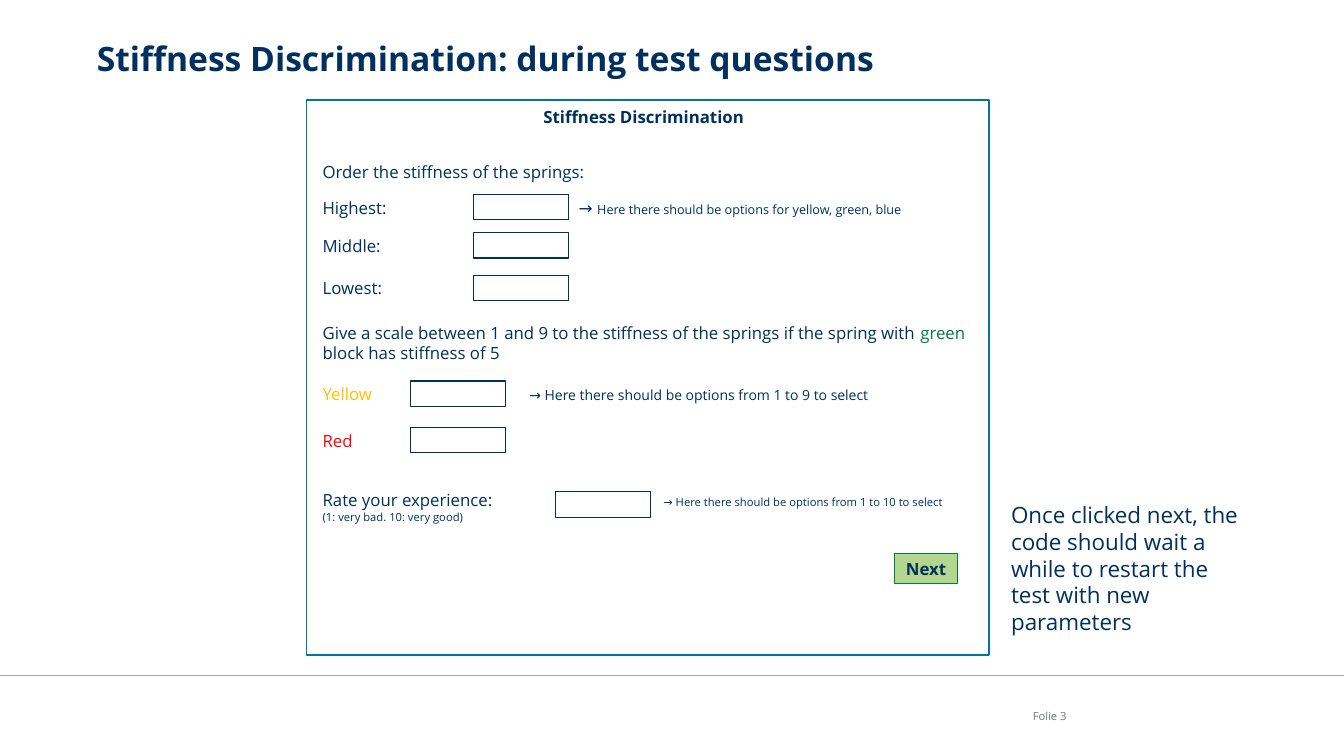
from pptx import Presentation
from pptx.dml.color import RGBColor
from pptx.enum.shapes import MSO_CONNECTOR as CONN, MSO_SHAPE as SHAPE
from pptx.enum.text import MSO_ANCHOR as ANCHOR, PP_ALIGN as ALIGN
from pptx.oxml.ns import qn
from pptx.util import Inches, Pt
from lxml.etree import SubElement

COLORS = {"navy": "00305E", "frame": "0075A6", "green": "007D40", "lime": "6AB023",
          "yellow": "FFC000", "red": "FF0000", "rule": "A6A6A6", "gray": "727879"}
FONT = "Open Sans"
LINE_H = 0.3
BOX_W, BOX_H = 0.94, 0.25


def rgb(name):
    return RGBColor.from_string(COLORS[name])


def write(sp, paragraphs, align=ALIGN.LEFT, anchor=ANCHOR.MIDDLE, inset=0, tab=None):
    """Each paragraph is a list of (text, size, colour, bold) runs."""
    tf = sp.text_frame
    frame = {"word_wrap": True, "vertical_anchor": anchor}
    for side in ("left", "right", "top", "bottom"):
        frame["margin_" + side] = Inches(inset / 2 if side in ("top", "bottom") else inset)
    for name, value in frame.items():
        setattr(tf, name, value)
    for i, runs in enumerate(paragraphs):
        p = tf.paragraphs[0] if i == 0 else tf.add_paragraph()
        p.alignment = align
        if tab is not None:
            tabs = SubElement(p._p.get_or_add_pPr(), qn("a:tabLst"))
            SubElement(tabs, qn("a:tab"), pos=str(Inches(tab)), algn="l")
        for text, size, color, bold in runs:
            r = p.add_run()
            r.text = text
            for name, value in {"name": FONT, "size": Pt(size), "bold": bold}.items():
                setattr(r.font, name, value)
            r.font.color.rgb = rgb(color)


def add_text(shapes, box, paragraphs, **layout):
    write(shapes.add_textbox(*map(Inches, box)), paragraphs, **layout)


def add_box(shapes, box, line, width=0.75):
    sp = shapes.add_shape(SHAPE.RECTANGLE, *map(Inches, box))
    sp.shadow.inherit = False
    sp.fill.background()
    sp.line.color.rgb = rgb(line)
    sp.line.width = Pt(width)
    return sp


def add_title(s, box):
    sp = s.shapes.title
    sp.left, sp.top, sp.width, sp.height = map(Inches, box)
    write(sp, [[("Stiffness Discrimination: during test questions", 24, "navy", True)]],
          anchor=ANCHOR.TOP)


def add_answer_row(s, box, paragraphs, box_x, box_dy=0.02, hint_x=None):
    """Label, answer box and an optional hint set by a tab stop."""
    x, y, w, h = box
    shapes = s.shapes.add_group_shape().shapes
    add_text(shapes, box, paragraphs, tab=hint_x)
    add_box(shapes, (x + box_x, y + box_dy, BOX_W, BOX_H), "navy")


def add_form(s, box):
    x, y, w, h = box
    left, width = x + 0.16, 6.46
    add_box(s.shapes, box, "frame", 1)
    add_text(s.shapes, (x + 1.77, y + 0.02, 3.15, LINE_H),
             [[("Stiffness Discrimination", 12, "navy", True)]], align=ALIGN.CENTER)

    # Questions
    questions = [
        (0.56, [("Order the stiffness of the springs:", 12, "navy", False)]),
        (2.26, [("Give a scale between 1 and 9 to the stiffness of the springs "
                 "if the spring with ", 12, "navy", False),
                ("green", 12, "green", False),
                (" block has stiffness of 5", 12, "navy", False)]),
    ]
    for dy, runs in questions:
        add_text(s.shapes, (left, y + dy, width, LINE_H), [runs])

    # Answer rows: offset, label, colour, answer box offset, hint offset, hint runs
    rows = [
        (0.92, "Highest:", "navy", 1.5, 2.54,
         [("→ ", 12, "navy", False),
          ("Here there should be options for yellow, green, blue", 9, "navy", False)]),
        (1.30, "Middle:", "navy", 1.5, None, []),
        (1.72, "Lowest:", "navy", 1.5, None, []),
        (2.77, "Yellow", "yellow", 0.87, 2.05,
         [("→ Here there should be options from 1 to 9 to select", 10, "navy", False)]),
        (3.23, "Red", "red", 0.87, None, []),
    ]
    for dy, label, color, box_x, hint_x, hint in rows:
        text = label + "\t" if hint else label
        add_answer_row(s, (left, y + dy, width, LINE_H),
                       [[(text, 12, color, False)] + hint], box_x, hint_x=hint_x)

    # Rating
    rating = [[("Rate your experience:\t", 12, "navy", False),
               ("→ Here there should be options from 1 to 10 to select", 8, "navy", False)],
              [("(1: very bad. 10: very good)", 8, "navy", False)]]
    add_answer_row(s, (left, y + 3.89, width, LINE_H), rating, 2.31, 0, 3.38)

    # Next button
    button = add_box(s.shapes, (x + 5.83, y + 4.5, 0.63, LINE_H), "green")
    button.fill.solid()
    button.fill.fore_color.rgb = rgb("lime")
    fill = button._element.spPr.find(qn("a:solidFill"))
    SubElement(fill[0], qn("a:alpha"), val="50000")
    write(button, [[("Next", 12, "navy", True)]], align=ALIGN.CENTER)


def add_note(s, box):
    add_text(s.shapes, box,
             [[("Once clicked next, the code should wait a while to restart the test "
                "with new parameters", 16, "navy", False)]],
             anchor=ANCHOR.TOP, inset=0.1)


def add_footer(s, box):
    x, y, w, h = box
    rule = s.shapes.add_connector(CONN.STRAIGHT, *map(Inches, (x, y, x + w, y)))
    rule.line.color.rgb = rgb("rule")
    rule.line.width = Pt(1)
    SubElement(rule._element.spPr, qn("a:effectLst"))
    add_text(s.shapes, (x + 9.81, y + 0.2, 0.77, 0.4),
             [[("Folie 3", 8, "gray", False)]], align=ALIGN.RIGHT)


def main():
    prs = Presentation()
    prs.slide_width, prs.slide_height = Inches(13.33), Inches(7.5)
    s = prs.slides.add_slide(prs.slide_layouts[5])
    add_footer(s, (0, 6.7, 13.33, 0.8))
    add_title(s, (0.96, 0.38, 11.57, 0.75))
    add_form(s, (3.04, 0.99, 6.77, 5.51))
    add_note(s, (9.93, 4.92, 2.55, 1.45))
    prs.save("out.pptx")


if __name__ == "__main__":
    main()
